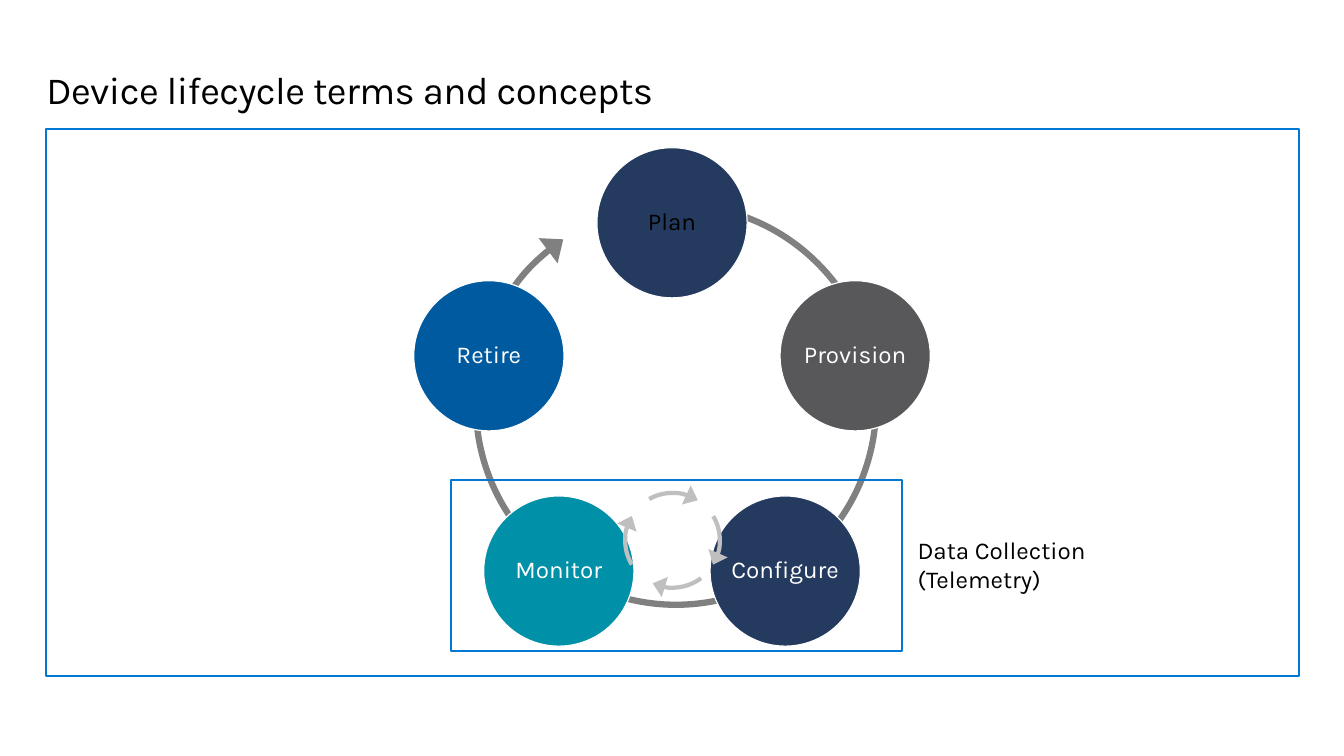
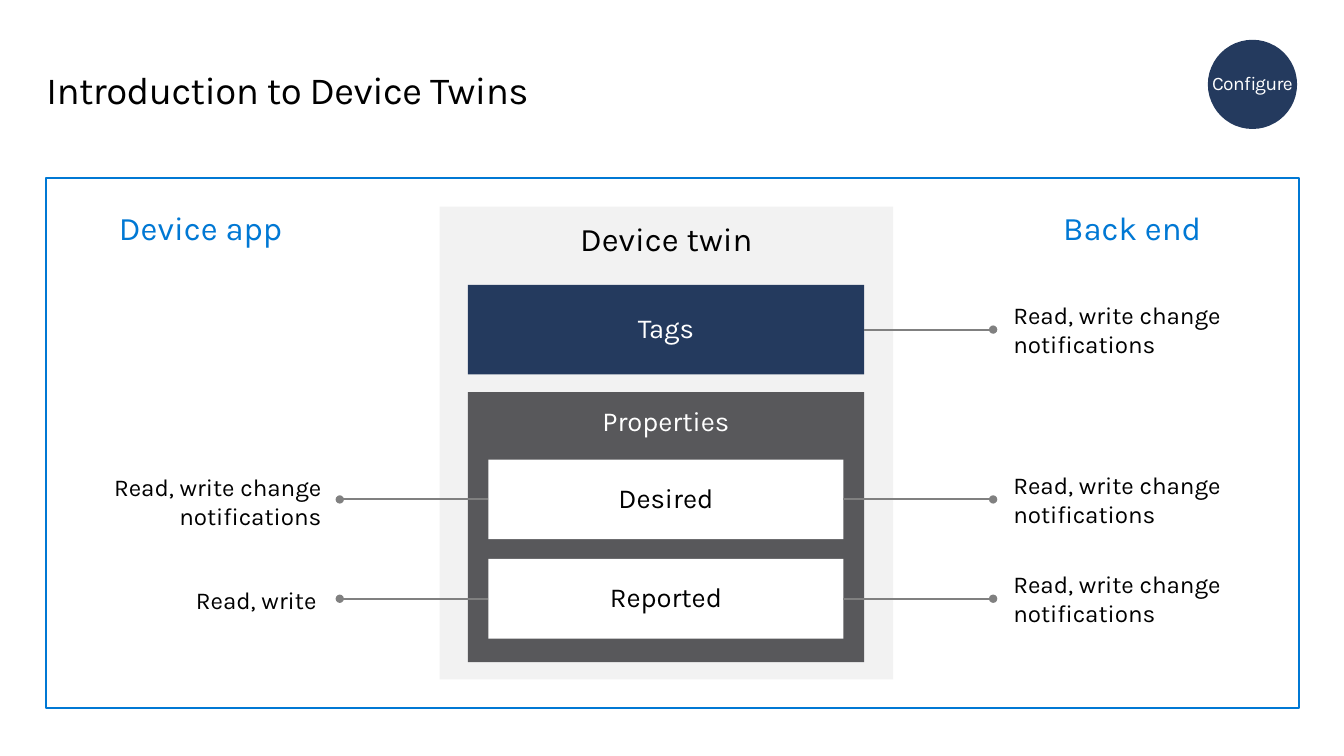
"""Build two slides on the device lifecycle and device twins."""
from math import cos, radians, sin
from lxml import etree
from pptx import Presentation, util as u
from pptx.dml.color import RGBColor
from pptx.enum import shapes as sh, text as tx
from pptx.oxml.ns import qn


class Theme:
    face = "Karla"
    black, white, blue = "000000", "FFFFFF", "0078D4"
    navy, slate, teal, royal = "243A5E", "58585B", "0090A8", "005A9F"
    grey, pale, mist = "808080", "BFBFBF", "F2F2F2"
    title, head, label, body, small = 27.4, 23.5, 19.6, 17.3, 13.7
    thick, mid, thin, hair = 4.5, 3, 1.5, 0.85


deck = Presentation()
deck.slide_width, deck.slide_height = u.Inches(13.33), u.Inches(7.5)
CELL = deck.slide_height / 75
LEFT, WIDE = 4.6, 124.2
MID = 66.65
RECT, OVAL, ARC = sh.MSO_SHAPE.RECTANGLE, sh.MSO_SHAPE.OVAL, sh.MSO_SHAPE.ARC
ALIGN, ANCHOR = tx.PP_ALIGN, tx.MSO_ANCHOR


def write(shape, words, size=Theme.body, ink=Theme.black, align=ALIGN.LEFT,
          anchor=ANCHOR.MIDDLE, lead=1.0, pad=(0, 0, 0, 0), track=0, wrap=True):
    frame = shape.text_frame
    frame.text = words
    frame.word_wrap, frame.auto_size = wrap, tx.MSO_AUTO_SIZE.NONE
    frame.vertical_anchor = anchor
    (frame.margin_left, frame.margin_top,
     frame.margin_right, frame.margin_bottom) = [int(p * CELL) for p in pad]
    for para in frame.paragraphs:
        para.alignment, para.line_spacing = align, lead
        for run in para.runs:
            run.font.name, run.font.size = Theme.face, u.Pt(size)
            run.font.color.rgb = RGBColor.from_string(ink)
    if track:
        for props in shape.element.iter(qn("a:rPr")):
            props.set("spc", str(track))
    return shape


def draw(slide, kind, box, fill=None, line=None, width=Theme.thin):
    spot = [round(n * CELL) for n in box]
    if kind is None:
        return slide.shapes.add_textbox(*spot)
    shape = slide.shapes.add_shape(kind, *spot)
    shape.shadow.inherit = False
    if fill:
        shape.fill.solid()
        shape.fill.fore_color.rgb = RGBColor.from_string(fill)
    else:
        shape.fill.background()
    if line:
        shape.line.color.rgb = RGBColor.from_string(line)
        shape.line.width = u.Pt(width)
    else:
        shape.line.fill.background()
    return shape


plain = deck.slide_layouts[5]
name = plain.placeholders[0]
name.left, name.top, name.width, name.height = [
    round(n * CELL) for n in (LEFT, 6.8, WIDE, 4.4)]
pages = []
for words, top, tall in (("Device lifecycle terms and concepts", 12.8, 54.3),
                         ("Introduction to Device Twins", 17.7, 52.5)):
    page = deck.slides.add_slide(plain)
    write(page.shapes.title, words, size=Theme.title, anchor=ANCHOR.TOP,
          lead=u.Pt(31.4), track=-40)
    draw(page, RECT, (LEFT, top, WIDE, tall), line=Theme.blue)
    pages.append(page)
cycle, twin = pages
tips = []

ring = draw(cycle, ARC, (47.2, 20.3, 39.7, 39.7), line=Theme.grey, width=Theme.thick)
ring.adjustments[0], ring.adjustments[1] = 162, 141.43
tips.append((ring, "a:tailEnd", "triangle", "lg"))

stages = (("Plan", Theme.navy, Theme.black), ("Provision", Theme.slate, Theme.white),
          ("Configure", Theme.navy, Theme.white), ("Monitor", Theme.teal, Theme.white),
          ("Retire", Theme.royal, Theme.white))
DISC, REACH, HUB = 14.9, 19.1, 41.2
for i, (words, fill, ink) in enumerate(stages):
    turn = radians(i * 360 / len(stages))
    x, y = MID + REACH * sin(turn), HUB - REACH * cos(turn)
    disc = draw(cycle, OVAL, (x - DISC / 2, y - DISC / 2, DISC, DISC),
                fill, Theme.white, Theme.hair)
    write(disc, words, ink=ink, align=ALIGN.CENTER, lead=0.9, wrap=False)

draw(cycle, RECT, (44.7, 47.6, 44.8, 17), line=Theme.blue)
write(draw(cycle, None, (91, 53.1, 17.5, 5.8)), "Data Collection\n(Telemetry)",
      anchor=ANCHOR.TOP)
for turn in (31.1, 302.3, 210.9, 114.7):
    loop = draw(cycle, ARC, (62, 48.9, 9.4, 9.4), line=Theme.pale, width=Theme.mid)
    loop.adjustments[0], loop.adjustments[1] = 179, 0
    loop.rotation = turn
    tips.append((loop, "a:tailEnd", "triangle", "lg"))

badge = draw(twin, OVAL, (119.8, 3.95, 8.85, 8.85), Theme.navy)
write(badge, "Configure", size=Theme.small, ink=Theme.white, align=ALIGN.CENTER,
      lead=0.9, track=-40, wrap=False)

cards = {}
for words, box, fill, ink, size, anchor in (
        ("Device twin", (43.6, 20.5, 45, 46.9), Theme.mist, Theme.black, Theme.head, ANCHOR.TOP),
        ("Tags", (46.4, 28.25, 39.3, 8.9), Theme.navy, Theme.white, Theme.label, ANCHOR.MIDDLE),
        ("Properties", (46.4, 38.9, 39.3, 26.8), Theme.slate, Theme.white, Theme.label, ANCHOR.TOP),
        ("Desired", (48.45, 45.6, 35.2, 7.9), Theme.white, Theme.black, Theme.label, ANCHOR.MIDDLE),
        ("Reported", (48.45, 55.45, 35.2, 7.9), Theme.white, Theme.black, Theme.label, ANCHOR.MIDDLE)):
    cards[words] = write(draw(twin, RECT, box, fill), words, size=size, ink=ink,
                         align=ALIGN.CENTER, anchor=anchor, lead=0.9,
                         pad=(2, 1.6, 2, 1.6))

for words, x in (("Device app", 10.4), ("Back end", 102.8)):
    write(draw(twin, None, (x, 21, 19, 3.6)), words, size=Theme.head,
          ink=Theme.blue, align=ALIGN.CENTER, lead=0.9)

NOTE = "Read, write change notifications"
for key, site, x in (("Tags", 3, 98.5), ("Desired", 3, 98.5), ("Reported", 3, 98.5),
                     ("Desired", 1, 33.7), ("Reported", 1, 33.7)):
    card = cards[key]
    y = card.top + card.height // 2
    wire = twin.shapes.add_connector(sh.MSO_CONNECTOR.STRAIGHT, round(x * CELL), y, card.left, y)
    wire.end_connect(card, site)
    wire.line.color.rgb = RGBColor.from_string(Theme.grey)
    wire.line.width = u.Pt(Theme.thin)
    etree.SubElement(wire.element.spPr, qn("a:effectLst"))
    tips.append((wire, "a:headEnd", "oval", "med"))
    if site == 3:
        write(draw(twin, None, (x, y / CELL - 2.9, 27.3, 5.8)), NOTE, pad=(2, 0, 0, 0))

for words, box, edge in ((NOTE, (7.6, 46.4, 26.3, 6.9), 2),
                         ("Read, write", (15.9, 57.6, 18, 4), 2.5)):
    write(draw(twin, None, box), words, align=ALIGN.RIGHT, anchor=ANCHOR.TOP,
          pad=(1, 0.5, edge, 0.5))

for shape, end, form, span in tips:
    tip = etree.SubElement(shape.element.spPr.find(qn("a:ln")), qn(end))
    tip.set("type", form)
    tip.set("w", span)

deck.save("out.pptx")
